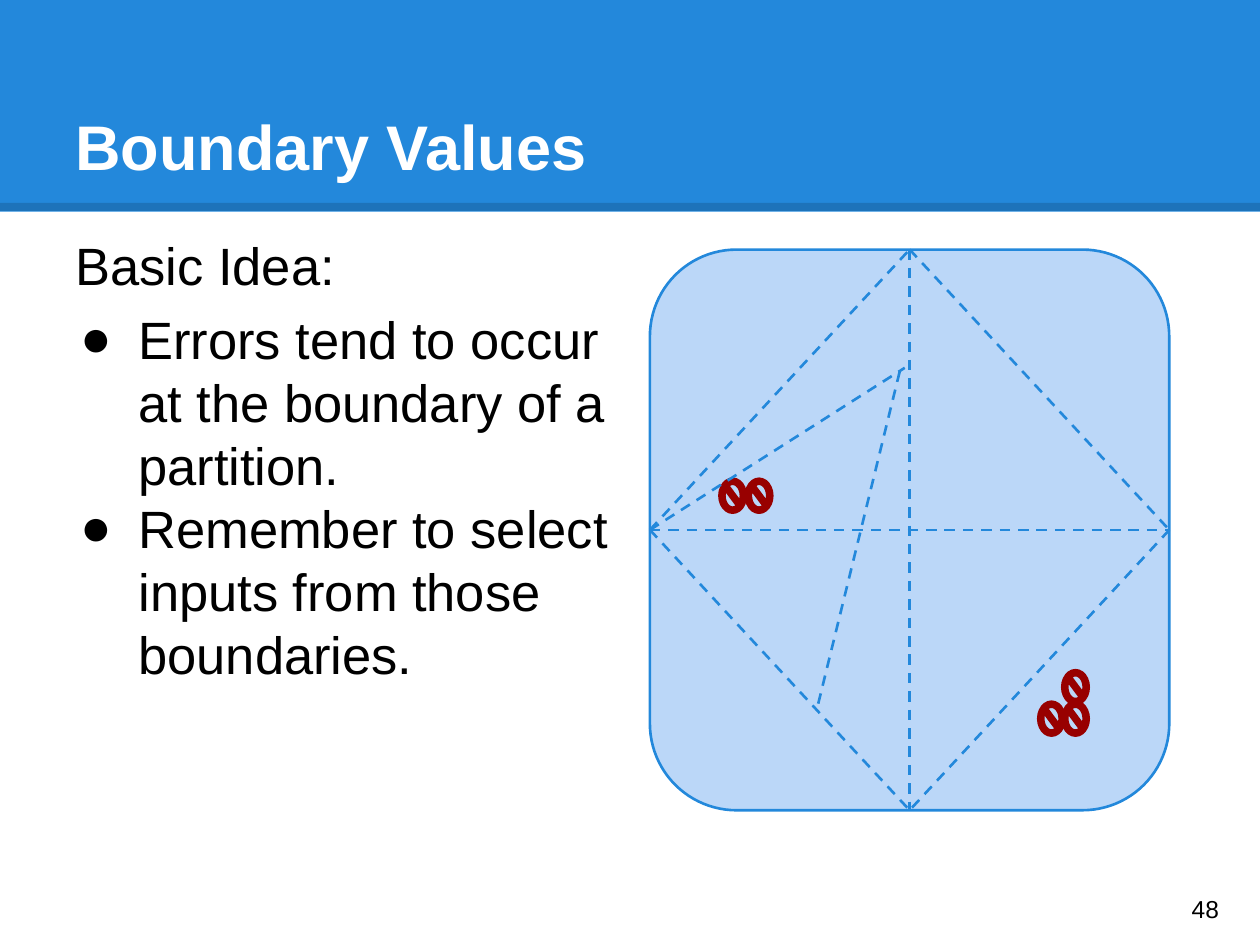
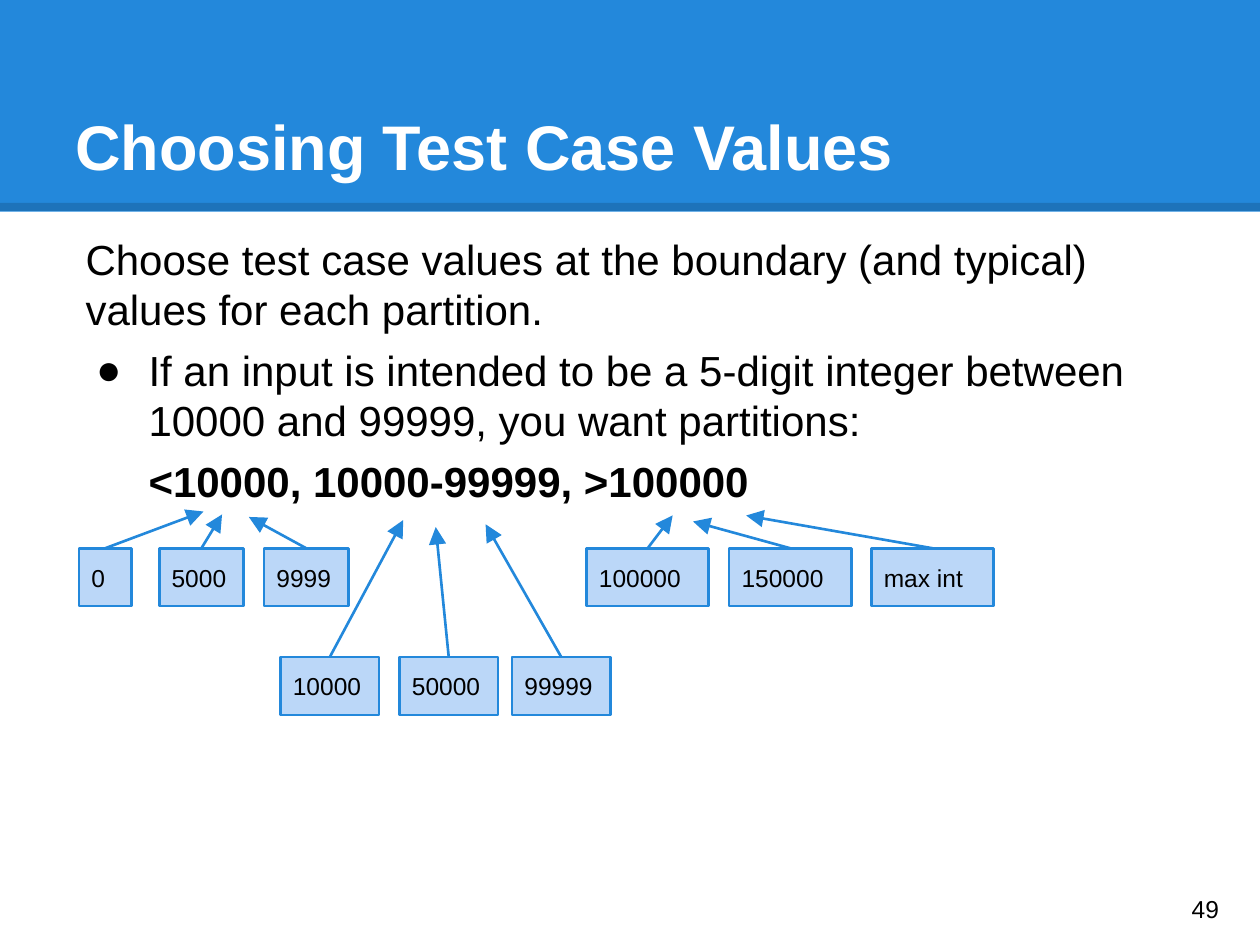
"""Builds two slides on boundary values and on choosing test case values."""
import dataclasses
import typing

import lxml.etree
import pptx
import pptx.dml.color
import pptx.enum.dml
import pptx.enum.shapes
import pptx.enum.text
import pptx.oxml.ns
import pptx.util

Pt = pptx.util.Pt
Shapes = pptx.enum.shapes.MSO_SHAPE
Anchor = pptx.enum.text.MSO_ANCHOR
Point = tuple[float, float]

COLORS = {
    "band": "2388DB",
    "panel": "BBD7F8",
    "error": "980000",
    "rule": "000000",
    "text": "000000",
    "title": "FFFFFF",
}
FONT = "Arial"
SLIDE_WIDTH, SLIDE_HEIGHT = 720, 540
INSET = 7.2
LINE_WIDTH = 1.5
FRAME_FORMAT = {"word_wrap": True} | {
    f"margin_{side}": Pt(INSET) for side in ("left", "right", "top", "bottom")
}


@dataclasses.dataclass(frozen=True)
class Box:
    """A rectangle in points."""

    left: float
    top: float
    width: float
    height: float

    @property
    def right(self) -> float:
        """Return the right edge."""
        return self.left + self.width

    @property
    def bottom(self) -> float:
        """Return the bottom edge."""
        return self.top + self.height

    @property
    def center(self) -> Point:
        """Return the middle point."""
        return self.left + self.width / 2, self.top + self.height / 2

    def lengths(self) -> list[pptx.util.Length]:
        """Return left, top, width and height as lengths."""
        return [Pt(value) for value in dataclasses.astuple(self)]


@dataclasses.dataclass(frozen=True)
class Text:
    """A paragraph with its format."""

    words: str
    size: float
    color: str = "text"
    bold: bool = False
    before: float = 0
    margin: float = 0
    indent: float = 0
    bullet: str = ""


@dataclasses.dataclass(frozen=True)
class Value:
    """A test value in a box, and the point its arrow reaches."""

    words: str
    left: float
    width: float
    target: Point


BAND = Box(0, 0, SLIDE_WIDTH, 121)
RULE_TOP = 118.25
TITLE = Box(36, 21.6, 648, 90)
NUMBER = Box(673.9, 499, 43.2, 41)

IDEA = Box(36, 126, 338.4, 391)
IDEA_TEXTS = [
    Text("Basic Idea:", 30, before=2),
    Text("Errors tend to occur at the boundary of a partition.", 30,
         before=6, margin=36, indent=-33, bullet="●"),
    Text("Remember to select inputs from those boundaries.", 30,
         margin=36, indent=-33, bullet="●"),
]
DOMAIN = Box(371.4, 142.6, 296.8, 320.4)
ERROR_SIZE = (15.1, 19.4)
ERRORS = [(426.2, 273.6), (411.1, 273.6), (607, 401), (607, 383), (593.3, 401)]
INNER_LINES = [((371.4, 302.8), (517, 210.2)), ((514.1, 212.4), (467.3, 403.2))]

CHOICE = Box(41.8, 126, 648, 391)
CHOICE_TEXTS = [
    Text("Choose test case values at the boundary (and typical) values for each partition.",
         24, before=2),
    Text("If an input is intended to be a 5-digit integer between 10000 and 99999, "
         "you want partitions:", 24, before=6, margin=36, indent=-30, bullet="●"),
    Text("<10000, 10000-99999, >100000", 24, bold=True, before=6, indent=36),
]
VALUE_HEIGHT = 33.1
VALUE_ROWS = {
    313.3: [
        Value("0", 45.1, 30, (116.3, 292.3)),
        Value("5000", 91, 48.2, (126.9, 294)),
        Value("9999", 150.9, 48.2, (142.2, 295.4)),
        Value("100000", 335.2, 69.8, (384.4, 294.5)),
        Value("150000", 416.7, 69.8, (396, 298)),
        Value("max int", 498, 69.8, (426.4, 294.6)),
    ],
    375.5: [
        Value("10000", 160.3, 56.3, (230.4, 297.2)),
        Value("50000", 228.3, 56.3, (249, 301.2)),
        Value("99999", 292.6, 56.3, (277.5, 299.6)),
    ],
}


def color_of(name: str) -> pptx.dml.color.RGBColor:
    """Return a named colour."""
    return pptx.dml.color.RGBColor.from_string(COLORS[name])


def apply_format(target: typing.Any, values: dict[str, typing.Any]) -> None:
    """Set each attribute in the values on the target."""
    for name, value in values.items():
        setattr(target, name, value)


def add_xml(parent: typing.Any, tag: str, **attributes: str) -> typing.Any:
    """Append an element with its attributes to the parent."""
    return lxml.etree.SubElement(parent, pptx.oxml.ns.qn(tag), attributes)


def write(shape: typing.Any, texts: list[Text], anchor: Anchor) -> None:
    """Fill the text frame of a shape with paragraphs."""
    frame = shape.text_frame
    apply_format(frame, FRAME_FORMAT | {"vertical_anchor": anchor})
    for index, text in enumerate(texts):
        paragraph = frame.add_paragraph() if index else frame.paragraphs[0]
        apply_format(paragraph, {
            "alignment": pptx.enum.text.PP_ALIGN.LEFT,
            "space_before": Pt(text.before),
        })
        if len(texts) > 1:
            paragraph.line_spacing = Pt(text.size * 1.2)
        properties = paragraph._p.get_or_add_pPr()
        properties.set("marL", str(Pt(text.margin)))
        properties.set("indent", str(Pt(text.indent)))
        if text.bullet:
            bullet_color = add_xml(properties, "a:buClr")
            add_xml(bullet_color, "a:srgbClr", val=COLORS[text.color])
            add_xml(properties, "a:buFont", typeface=FONT)
            add_xml(properties, "a:buChar", char=text.bullet)
        run = paragraph.add_run()
        run.text = text.words
        apply_format(run.font, {"name": FONT, "size": Pt(text.size), "bold": text.bold})
        run.font.color.rgb = color_of(text.color)


def add_text(slide: typing.Any, box: Box, texts: list[Text],
             anchor: Anchor = Anchor.TOP) -> None:
    """Add a text box."""
    write(slide.shapes.add_textbox(*box.lengths()), texts, anchor)


def add_shape(slide: typing.Any, kind: Shapes, box: Box, fill: str, outline: str = "",
              adjustment: float | None = None) -> typing.Any:
    """Add a filled preset shape without a shadow."""
    shape = slide.shapes.add_shape(kind, *box.lengths())
    shape.shadow.inherit = False
    shape.fill.solid()
    shape.fill.fore_color.rgb = color_of(fill)
    if outline:
        shape.line.color.rgb = color_of(outline)
        shape.line.width = Pt(LINE_WIDTH)
    else:
        shape.line.fill.background()
    if adjustment is not None:
        shape.adjustments[0] = adjustment
    return shape


def add_line(slide: typing.Any, start: Point, end: Point, color: str = "band",
             width: float = LINE_WIDTH, dashed: bool = False, arrow: bool = False,
             opacity: int = 100) -> None:
    """Add a straight line, optionally dashed, pointed or see-through."""
    connector = slide.shapes.add_connector(
        pptx.enum.shapes.MSO_CONNECTOR.STRAIGHT, *(Pt(value) for value in start + end))
    line = connector.line
    line.color.rgb = color_of(color)
    line.width = Pt(width)
    if dashed:
        line.dash_style = pptx.enum.dml.MSO_LINE.DASH
    outline = line._get_or_add_ln()
    if opacity < 100:
        fill_color = outline.find(".//" + pptx.oxml.ns.qn("a:srgbClr"))
        add_xml(fill_color, "a:alpha", val=str(opacity * 1000))
    if arrow:
        add_xml(outline, "a:tailEnd", type="triangle", w="lg", len="lg")
    add_xml(connector._element.spPr, "a:effectLst")


def add_slide(presentation: typing.Any, title: str, number: int) -> typing.Any:
    """Add a blank slide with the band, the title and the slide number."""
    slide = presentation.slides.add_slide(presentation.slide_layouts[6])
    add_shape(slide, Shapes.RECTANGLE, BAND, "band")
    add_line(slide, (0, RULE_TOP), (SLIDE_WIDTH, RULE_TOP), "rule", 4.5, opacity=15)
    add_text(slide, TITLE, [Text(title, 36, "title", True)], Anchor.BOTTOM)
    add_text(slide, NUMBER, [Text(str(number), 14)], Anchor.MIDDLE)
    return slide


def build_boundaries(presentation: typing.Any) -> None:
    """Build the slide with the partitioned domain."""
    slide = add_slide(presentation, "Boundary Values", 48)
    add_text(slide, IDEA, IDEA_TEXTS)
    add_shape(slide, Shapes.ROUNDED_RECTANGLE, DOMAIN, "panel", "band", 0.167)
    for corner in ERRORS:
        add_shape(slide, Shapes.NO_SYMBOL, Box(*corner, *ERROR_SIZE), "error", "error", 0.188)
    middle_x, middle_y = DOMAIN.center
    top, bottom = (middle_x, DOMAIN.top), (middle_x, DOMAIN.bottom)
    left, right = (DOMAIN.left, middle_y), (DOMAIN.right, middle_y)
    partition_lines = [(top, bottom), (left, right), (left, top), (top, right),
                       (right, bottom), (left, bottom)]
    for start, end in partition_lines + INNER_LINES:
        add_line(slide, start, end, dashed=True)


def build_choices(presentation: typing.Any) -> None:
    """Build the slide with the test values of each partition."""
    slide = add_slide(presentation, "Choosing Test Case Values", 49)
    add_text(slide, CHOICE, CHOICE_TEXTS)
    for top, values in VALUE_ROWS.items():
        for value in values:
            box = Box(value.left, top, value.width, VALUE_HEIGHT)
            shape = add_shape(slide, Shapes.RECTANGLE, box, "panel", "band")
            write(shape, [Text(value.words, 14)], Anchor.MIDDLE)
            add_line(slide, (box.center[0], top), value.target, arrow=True)


def main() -> None:
    """Build and save the presentation."""
    presentation = pptx.Presentation()
    apply_format(presentation, {
        "slide_width": Pt(SLIDE_WIDTH), "slide_height": Pt(SLIDE_HEIGHT)})
    build_boundaries(presentation)
    build_choices(presentation)
    presentation.save("out.pptx")


main()
